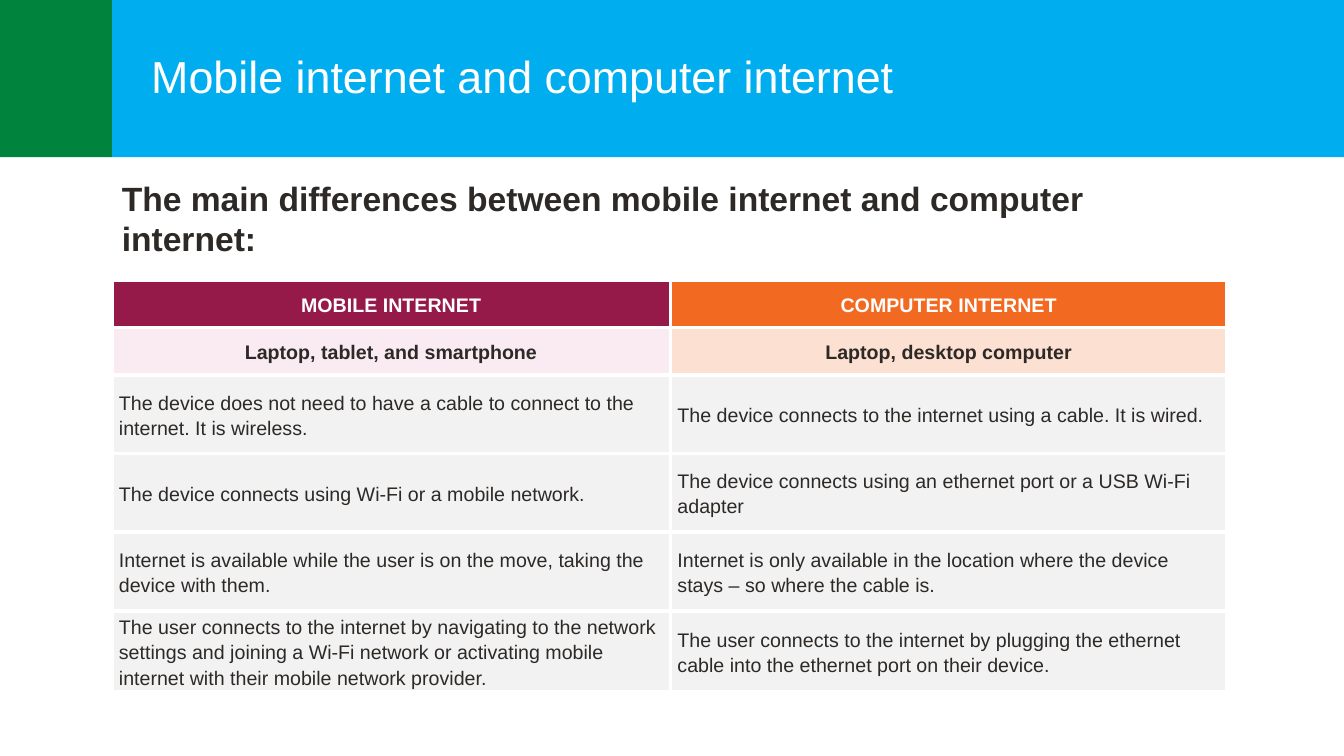
import pptx
import pptx.dml.color
import pptx.enum.shapes
import pptx.enum.text
import pptx.oxml.ns
import pptx.util
from lxml import etree

PX = 9144  # EMU per px, 100 px to the inch
FONT = "Arial"
COLORS = {
    "white": "FFFFFF",
    "ink": "2D2926",
    "blue": "00AEEF",
    "green": "00833D",
    "plum": "961A49",
    "orange": "F26A21",
    "pink": "F9EBF1",
    "peach": "FCE0D1",
    "grey": "F2F2F2",
}
MIDDLE = pptx.enum.text.MSO_ANCHOR.MIDDLE
LEFT = pptx.enum.text.PP_ALIGN.LEFT
CENTER = pptx.enum.text.PP_ALIGN.CENTER

HEADINGS = ["MOBILE INTERNET", "COMPUTER INTERNET"]
DEVICES = ["Laptop, tablet, and smartphone", "Laptop, desktop computer"]
DIFFERENCES = [
    ["The device does not need to have a cable to connect to the internet. It is wireless.",
     "The device connects to the internet using a cable. It is wired."],
    ["The device connects using Wi-Fi or a mobile network.",
     "The device connects using an ethernet port or a USB Wi-Fi adapter"],
    ["Internet is available while the user is on the move, taking the device with them.",
     "Internet is only available in the location where the device stays – so where the cable is."],
    ["The user connects to the internet by navigating to the network settings and joining "
     "a Wi-Fi network or activating mobile internet with their mobile network provider.",
     "The user connects to the internet by plugging the ethernet cable into the ethernet "
     "port on their device."],
]


def px(*values):
    return [v * PX for v in values]


def rgb(name):
    return pptx.dml.color.RGBColor.from_string(COLORS[name])


def write(tf, text, size, color, bold=False, align=LEFT, spacing=1.0):
    p = tf.paragraphs[0]
    p.text = text
    p.alignment = align
    p.line_spacing = spacing
    p.font.name = FONT
    p.font.size = pptx.util.Pt(size)
    p.font.bold = bold
    p.font.color.rgb = rgb(color)


def set_frame(tf, left, right):
    tf.word_wrap = True
    tf.vertical_anchor = MIDDLE
    tf.margin_left, tf.margin_right = px(left, right)
    tf.margin_top, tf.margin_bottom = px(5, 5)


def add_block(s, box, color):
    sp = s.shapes.add_shape(pptx.enum.shapes.MSO_SHAPE.RECTANGLE, *px(*box))
    sp.shadow.inherit = False
    sp.fill.solid()
    sp.fill.fore_color.rgb = rgb(color)
    sp.line.fill.background()
    return sp


def add_text(s, box, text, size, color, bold):
    sp = s.shapes.add_textbox(*px(*box))
    set_frame(sp.text_frame, 10, 10)
    write(sp.text_frame, text, size, color, bold)


def set_borders(cell, color, width):
    qn = pptx.oxml.ns.qn
    tc_pr = cell._tc.get_or_add_tcPr()
    for side in ("lnL", "lnR", "lnT", "lnB"):
        ln = etree.SubElement(tc_pr, qn("a:" + side), w=str(pptx.util.Pt(width)))
        fill = etree.SubElement(ln, qn("a:solidFill"))
        etree.SubElement(fill, qn("a:srgbClr"), val=COLORS[color])


def fill_cell(cell, text, fill, color, bold, align):
    set_borders(cell, "white", 3)
    cell.fill.solid()
    cell.fill.fore_color.rgb = rgb(fill)
    cell.vertical_anchor = MIDDLE
    cell.margin_left, cell.margin_right = px(7, 7)
    cell.margin_top = cell.margin_bottom = 0
    write(cell.text_frame, text, 14, color, bold, align, 1.15)


def add_comparison(s, left, top, widths, heights, rows):
    box = px(left, top, sum(widths), sum(heights))
    table = s.shapes.add_table(len(rows), len(widths), *box).table
    for column, width in zip(table.columns, px(*widths)):
        column.width = width
    for row, height in zip(table.rows, px(*heights)):
        row.height = height
    for i, (texts, fills, color, bold, align) in enumerate(rows):
        for j, (text, fill) in enumerate(zip(texts, fills)):
            fill_cell(table.cell(i, j), text, fill, color, bold, align)


def main():
    prs = pptx.Presentation()
    prs.slide_width, prs.slide_height = px(1333, 750)
    s = prs.slides.add_slide(prs.slide_layouts[6])

    # Title band
    band = add_block(s, (111, 0, 1222, 156), "blue")
    set_frame(band.text_frame, 39, 59)
    write(band.text_frame, "Mobile internet and computer internet", 32, "white", spacing=0.9)

    # Introduction
    add_text(s, (111, 170, 1106, 93),
             "The main differences between mobile internet and computer internet:",
             24, "ink", True)

    # Corner block
    add_block(s, (0, 0, 111, 156), "green")

    # Comparison table
    rows = [
        (HEADINGS, ("plum", "orange"), "white", True, CENTER),
        (DEVICES, ("pink", "peach"), "ink", True, CENTER),
    ]
    rows += [(texts, ("grey", "grey"), "ink", False, LEFT) for texts in DIFFERENCES]
    heights = [47] * 2 + [78] * len(DIFFERENCES)
    add_comparison(s, 111, 278, (554, 552), heights, rows)

    prs.save("out.pptx")


if __name__ == "__main__":
    main()
